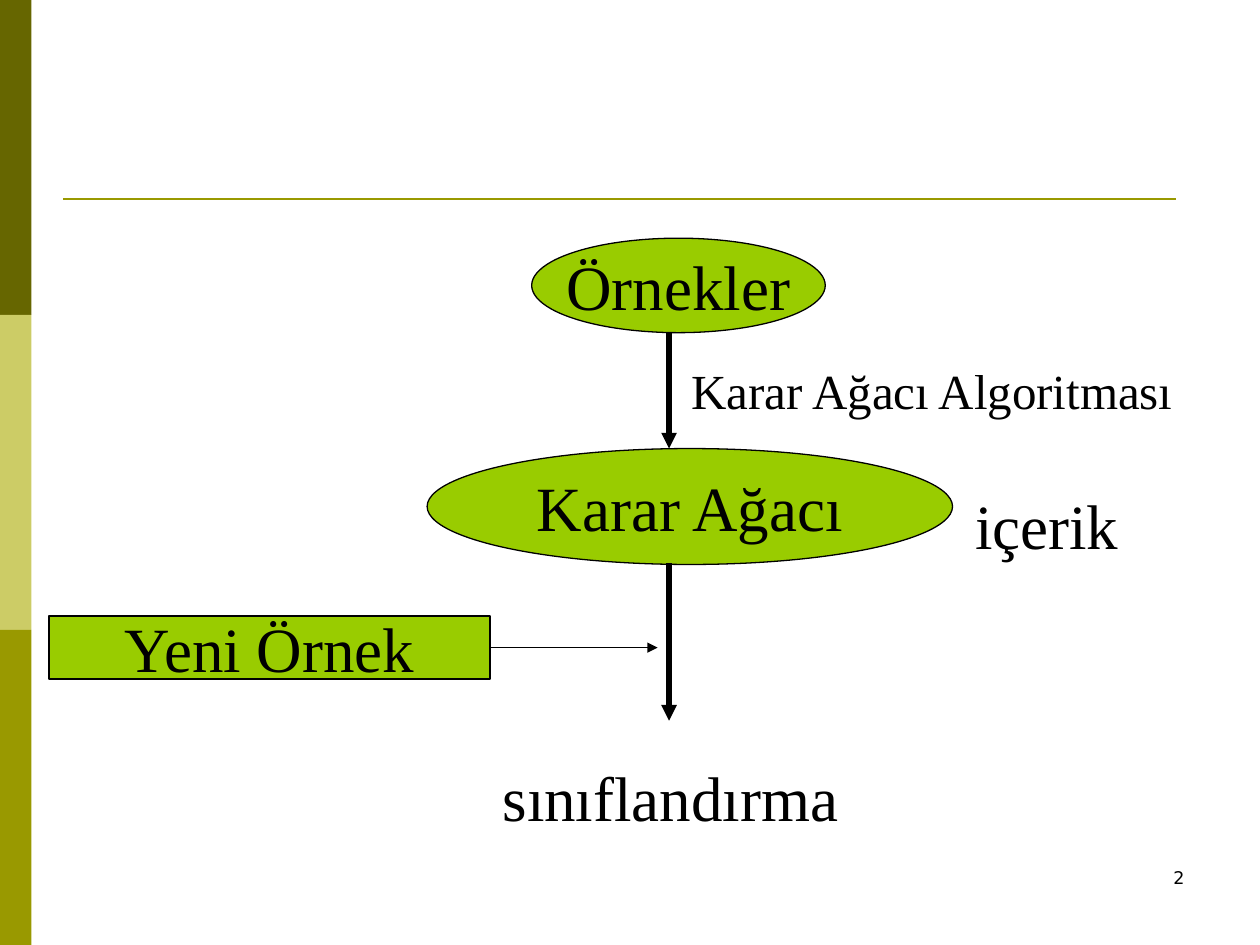
import pptx
import pptx.util
import pptx.dml.color
import pptx.enum.shapes
import pptx.enum.text
import pptx.oxml
import pptx.oxml.ns

Inches, Pt = pptx.util.Inches, pptx.util.Pt
Shape = pptx.enum.shapes.MSO_SHAPE
Align = pptx.enum.text.PP_ALIGN
Anchor = pptx.enum.text.MSO_ANCHOR
GREEN, BLACK, OLIVE = "99CC00", "000000", "999900"
SERIF = "Times New Roman"


def paint(color, code):
    """Set a fill, line or font colour from a hex string."""
    color.rgb = pptx.dml.color.RGBColor.from_string(code)


def write(frame, text, size, font=SERIF, align=Align.LEFT):
    para = frame.paragraphs[0]
    para.alignment = align
    run = para.add_run()
    run.text = text
    run.font.size = Pt(size)
    run.font.name = font
    paint(run.font.color, BLACK)


deck = pptx.Presentation()
deck.slide_width, deck.slide_height = Inches(10), Inches(7.5)
slide = deck.slides.add_slide(deck.slide_layouts[6])
shapes = slide.shapes

# Side band in three equal parts
for row, code in enumerate(["666600", "CCCC66", OLIVE]):
    band = shapes.add_shape(Shape.RECTANGLE, 0, Inches(2.5 * row),
                            Inches(0.25), Inches(2.5))
    band.shadow.inherit = False
    band.fill.solid()
    paint(band.fill.fore_color, code)
    band.line.fill.background()

# Nodes of the flow
nodes = [
    (Shape.OVAL, "Örnekler", 4.22, 1.89, 2.33, 0.75),
    (Shape.OVAL, "Karar Ağacı", 3.39, 3.56, 4.17, 0.92),
    (Shape.RECTANGLE, "Yeni Örnek", 0.39, 4.89, 3.5, 0.5),
]
for kind, text, *place in nodes:
    node = shapes.add_shape(kind, *map(Inches, place))
    node.shadow.inherit = False
    node.fill.solid()
    paint(node.fill.fore_color, GREEN)
    paint(node.line.color, BLACK)
    node.line.width = Pt(0.75)
    node.text_frame.word_wrap = False
    node.text_frame.vertical_anchor = Anchor.MIDDLE
    write(node.text_frame, text, 36, align=Align.CENTER)

# Title rule and arrows
lines = [
    (0.5, 1.58, 9.33, 1.58, OLIVE, 1.5, False),
    (5.31, 2.64, 5.31, 3.56, BLACK, 3, True),
    (5.31, 4.47, 5.31, 5.72, BLACK, 3, True),
    (3.89, 5.14, 5.22, 5.14, BLACK, 0.75, True),
]
for *ends, code, width, arrow in lines:
    line = shapes.add_connector(pptx.enum.shapes.MSO_CONNECTOR.STRAIGHT,
                                *map(Inches, ends))
    paint(line.line.color, code)
    line.line.width = Pt(width)
    if arrow:
        head = pptx.oxml.parse_xml(
            f'<a:tailEnd {pptx.oxml.ns.nsdecls("a")} type="triangle"/>')
        line.line._get_or_add_ln().append(head)
    line._element.spPr.append(pptx.oxml.parse_xml(
        f'<a:effectLst {pptx.oxml.ns.nsdecls("a")}/>'))

# Labels and slide number
labels = [
    ("Karar Ağacı Algoritması", 5.39, 2.81, 4.75, 0.57, 28, SERIF, Align.LEFT),
    ("içerik", 7.64, 3.81, 2, 0.7, 36, SERIF, Align.LEFT),
    ("sınıflandırma", 3.89, 5.97, 3.67, 0.7, 36, SERIF, Align.LEFT),
    ("2", 7.17, 6.83, 2.33, 0.5, 10, "DejaVu Sans", Align.RIGHT),
]
for text, left, top, width, height, size, font, align in labels:
    label = shapes.add_textbox(*map(Inches, (left, top, width, height)))
    label.text_frame.word_wrap = True
    write(label.text_frame, text, size, font, align)

deck.save("out.pptx")
